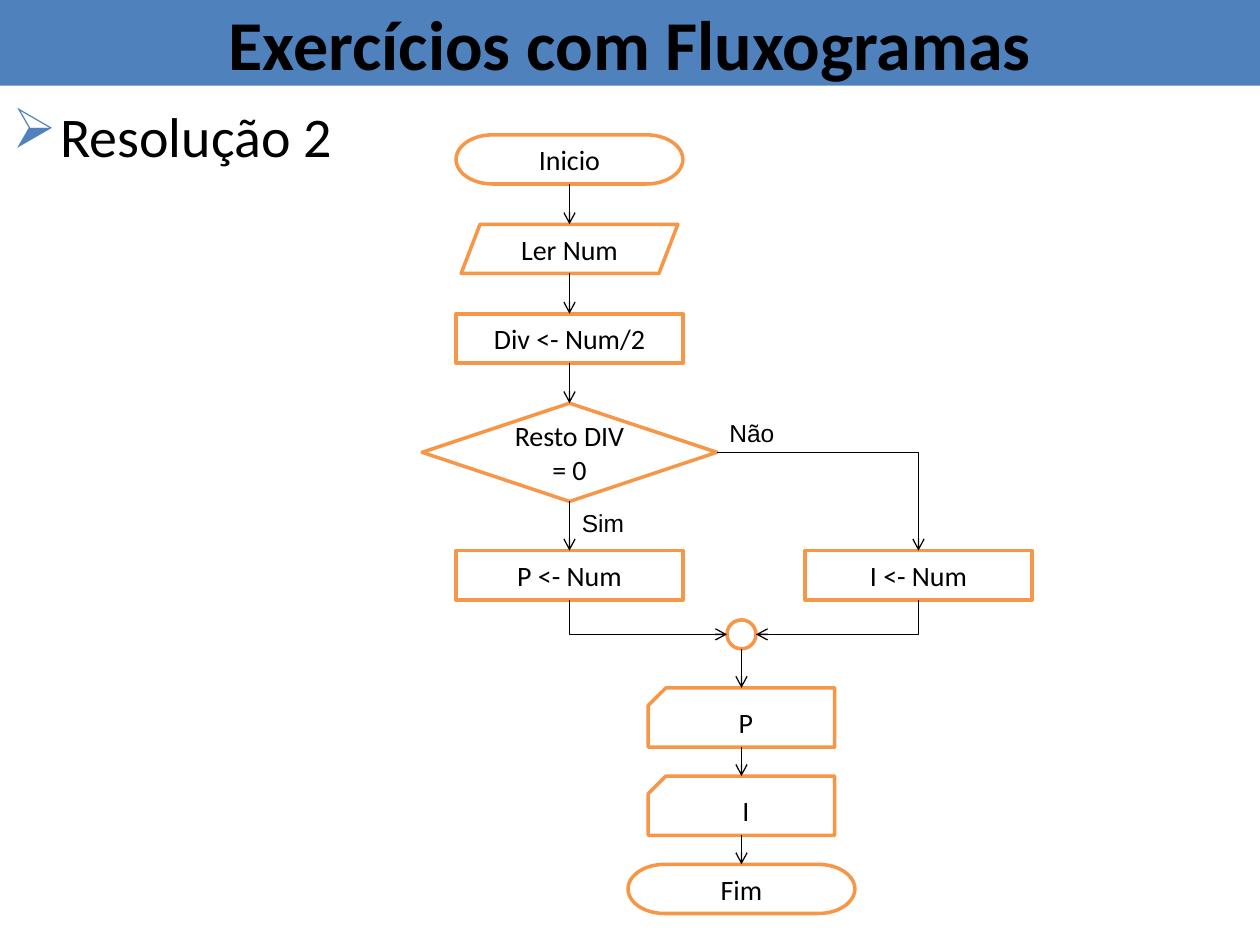
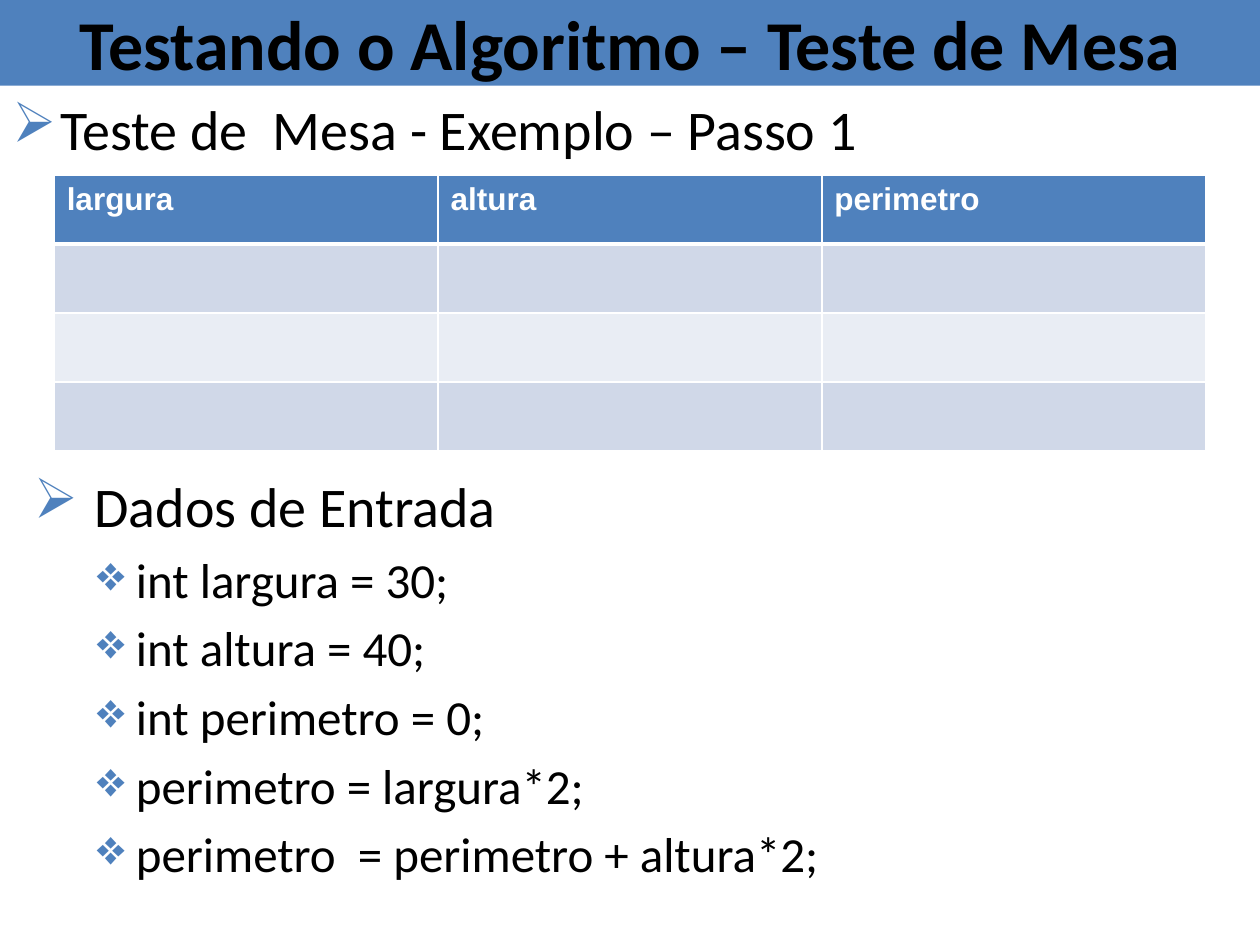
from pptx import Presentation
from pptx.dml.color import RGBColor
from pptx.enum.shapes import MSO_CONNECTOR, MSO_SHAPE
from pptx.enum.text import MSO_ANCHOR, PP_ALIGN
from pptx.oxml.ns import qn
from pptx.util import Inches, Pt
from lxml.etree import SubElement

# Shared look
BLUE, ORANGE, BLACK, WHITE = "4F81BD", "F79646", "000000", "FFFFFF"
BAND_ROWS = ("D0D8E8", "E9EDF4")
BODY_FONT, LABEL_FONT = "Calibri", "Arial"
PAGE_WIDTH, PAGE_HEIGHT, TITLE_HEIGHT = 10, 7.5, 0.68
# Bullet levels: character, text size, left margin, hanging indent
LEVELS = (("➢", 32, 0.38, 0.38), ("❖", 28, 0.81, 0.31))

# Flowchart grid: column centres, row tops, box sizes
LEFT, MIDDLE, RIGHT = 4.52, 5.885, 7.29
STEP_TOPS = [1.07 + 0.71 * row for row in range(4)]
BRANCH_TOP, JOIN_TOP = 4.37, 4.92
OUTPUT_TOPS = [5.46 + 0.7 * row for row in range(3)]
BOX, INPUT, DECISION = (1.8, 0.39), (1.72, 0.39), (2.34, 0.78)
JOIN, CARD = (0.23, 0.23), (1.48, 0.47)
TERMINATOR, PROCESS = MSO_SHAPE.FLOWCHART_TERMINATOR, MSO_SHAPE.FLOWCHART_PROCESS
SNIPPED = MSO_SHAPE.SNIP_1_RECTANGLE

# Flowchart content: name -> shape, column, top, size, text
NODES = {
    "start": (TERMINATOR, LEFT, STEP_TOPS[0], BOX, "Inicio"),
    "read": (MSO_SHAPE.PARALLELOGRAM, LEFT, STEP_TOPS[1], INPUT, "Ler Num"),
    "divide": (PROCESS, LEFT, STEP_TOPS[2], BOX, "Div <- Num/2"),
    "test": (MSO_SHAPE.FLOWCHART_DECISION, LEFT, STEP_TOPS[3], DECISION, "Resto DIV = 0"),
    "even": (PROCESS, LEFT, BRANCH_TOP, BOX, "P <- Num"),
    "odd": (PROCESS, RIGHT, BRANCH_TOP, BOX, "I <- Num"),
    "join": (MSO_SHAPE.FLOWCHART_CONNECTOR, MIDDLE, JOIN_TOP, JOIN, ""),
    "print even": (SNIPPED, MIDDLE, OUTPUT_TOPS[0], CARD, "P"),
    "print odd": (SNIPPED, MIDDLE, OUTPUT_TOPS[1], CARD, "I"),
    "end": (TERMINATOR, MIDDLE, OUTPUT_TOPS[2], BOX, "Fim"),
}
ADJUSTMENTS = {"read": 0.385, "print even": 0.298, "print odd": 0.298}
DOWN_CHAINS = (("start", "read", "divide", "test", "even"),
               ("join", "print even", "print odd", "end"))
# Bent lines run level first: start, side, finish, side, end that has the arrow
TOP_SIDE, LEFT_SIDE, BOTTOM_SIDE, RIGHT_SIDE = range(4)
BENDS = (("test", RIGHT_SIDE, "odd", TOP_SIDE, "tailEnd"),
         ("join", RIGHT_SIDE, "odd", BOTTOM_SIDE, "headEnd"),
         ("join", LEFT_SIDE, "even", BOTTOM_SIDE, "headEnd"))
LABELS = (("Sim", 4.52, 3.98), ("Não", 5.69, 3.27))

# Desk check content
COLUMNS = ("largura", "altura", "perimetro")
EMPTY_ROWS = 3
INPUT_DATA = ((0, " Dados de Entrada"), (1, "int largura = 30;"), (1, "int altura = 40;"),
              (1, "int perimetro = 0;"), (1, "perimetro = largura*2;"),
              (1, "perimetro  = perimetro + altura*2;"))


def color(value):
    return RGBColor.from_string(value)


def style(para, size, font=BODY_FONT, fill=BLACK, bold=False):
    for span in para.runs:
        span.font.size, span.font.name, span.font.bold = Pt(size), font, bold
        span.font.color.rgb = color(fill)


def add_box(page, kind, at, text, size, fill, line=None, bold=False):
    box = page.shapes.add_shape(kind, *map(Inches, at))
    box.shadow.inherit = False
    box.fill.solid()
    box.fill.fore_color.rgb = color(fill)
    if line:
        box.line.color.rgb, box.line.width = color(line), Pt(2)
    else:
        box.line.fill.background()
    box.text_frame.text = text
    box.text_frame.word_wrap = True
    box.text_frame.vertical_anchor = MSO_ANCHOR.MIDDLE
    para = box.text_frame.paragraphs[0]
    para.alignment = PP_ALIGN.CENTER
    style(para, size, bold=bold)
    return box


def add_page(deck, title):
    page = deck.slides.add_slide(deck.slide_layouts[6])
    add_box(page, MSO_SHAPE.RECTANGLE, (0, 0, PAGE_WIDTH, TITLE_HEIGHT), title, 40, BLUE, bold=True)
    return page


def add_bullets(page, at, items, heading_spacing=1.0):
    frame = page.shapes.add_textbox(*map(Inches, at)).text_frame
    frame.word_wrap = True
    frame.text = "\n".join(text for level, text in items)
    for para, (level, text) in zip(frame.paragraphs, items):
        mark, size, margin, hanging = LEVELS[level]
        para.level = level
        para.space_before = Pt(size * 0.2)
        para.line_spacing = 1.0 if level else heading_spacing
        style(para, size)
        properties = para._p.get_or_add_pPr()
        properties.set("marL", str(Inches(margin)))
        properties.set("indent", str(-Inches(hanging)))
        bullet_color = SubElement(properties, qn("a:buClr"))
        SubElement(bullet_color, qn("a:srgbClr"), val=BLUE)
        SubElement(properties, qn("a:buChar"), char=mark)


# Flowchart
def side_point(name, side):
    kind, center, top, (width, height), text = NODES[name]
    return ((center, top), (center - width / 2, top + height / 2),
            (center, top + height), (center + width / 2, top + height / 2))[side]


def add_link(page, boxes, start, start_side, finish, finish_side, arrow_end="tailEnd"):
    bent = start_side in (LEFT_SIDE, RIGHT_SIDE)
    kind = MSO_CONNECTOR.ELBOW if bent else MSO_CONNECTOR.STRAIGHT
    ends = side_point(start, start_side) + side_point(finish, finish_side)
    link = page.shapes.add_connector(kind, *map(Inches, ends))
    four_sided = (TERMINATOR, PROCESS, MSO_SHAPE.FLOWCHART_DECISION)
    if NODES[start][0] in four_sided:
        link.begin_connect(boxes[start], start_side)
    if NODES[finish][0] in four_sided:
        link.end_connect(boxes[finish], finish_side)
    link.line.color.rgb, link.line.width = color(BLACK), Pt(0.75)
    properties = link._element.spPr
    if bent:
        properties.find(qn("a:prstGeom")).set("prst", "bentConnector2")
    SubElement(link.line._get_or_add_ln(), qn(f"a:{arrow_end}"), type="arrow")
    SubElement(properties, qn("a:effectLst"))


def add_flowchart(page):
    boxes = {}
    for name, (kind, center, top, (width, height), text) in NODES.items():
        box = add_box(page, kind, (center - width / 2, top, width, height), text, 16, WHITE, ORANGE)
        if name in ADJUSTMENTS:
            box.adjustments[0] = ADJUSTMENTS[name]
        if kind == SNIPPED:
            box._element.spPr.find(qn("a:xfrm")).set("flipH", "1")
        boxes[name] = box
    for chain in DOWN_CHAINS:
        for start, finish in zip(chain, chain[1:]):
            add_link(page, boxes, start, BOTTOM_SIDE, finish, TOP_SIDE)
    for bend in BENDS:
        add_link(page, boxes, *bend)
    for text, left, top in LABELS:
        frame = page.shapes.add_textbox(*map(Inches, (left, top, 0.56, 0.33))).text_frame
        frame.text = text
        frame.word_wrap = False
        style(frame.paragraphs[0], 14, LABEL_FONT)


# Desk check table
def add_borders(cell, bottom_width):
    properties = cell._tc.get_or_add_tcPr()
    for side, width in (("L", 1), ("R", 1), ("T", 1), ("B", bottom_width)):
        line = SubElement(properties, qn(f"a:ln{side}"), w=str(Pt(width)))
        SubElement(SubElement(line, qn("a:solidFill")), qn("a:srgbClr"), val=WHITE)


def add_desk_check(page):
    at = map(Inches, (0.43, 1.39, 9.14, 2.19))
    table = page.shapes.add_table(EMPTY_ROWS + 1, len(COLUMNS), *at).table
    for row_number, row in enumerate(table.rows):
        header = row_number == 0
        for cell, name in zip(row.cells, COLUMNS):
            add_borders(cell, 3 if header else 1)
            cell.fill.solid()
            cell.fill.fore_color.rgb = color(BLUE if header else BAND_ROWS[(row_number - 1) % 2])
            if header:
                cell.text_frame.text = name
                style(cell.text_frame.paragraphs[0], 18, LABEL_FONT, WHITE, True)


def main():
    deck = Presentation()
    deck.slide_width, deck.slide_height = Inches(PAGE_WIDTH), Inches(PAGE_HEIGHT)

    page = add_page(deck, "Exercícios com Fluxogramas")
    add_bullets(page, (0, 0.76, 9.65, 0.79), [(0, "Resolução 2")])
    add_flowchart(page)

    page = add_page(deck, "Testando o Algoritmo – Teste de Mesa")
    add_bullets(page, (0, 0.76, 10, 0.63), [(0, "Teste de  Mesa - Exemplo – Passo 1")], 0.9)
    add_desk_check(page)
    add_bullets(page, (0.17, 3.75, 9.55, 3.75), INPUT_DATA, 0.9)

    deck.save("out.pptx")


if __name__ == "__main__":
    main()
